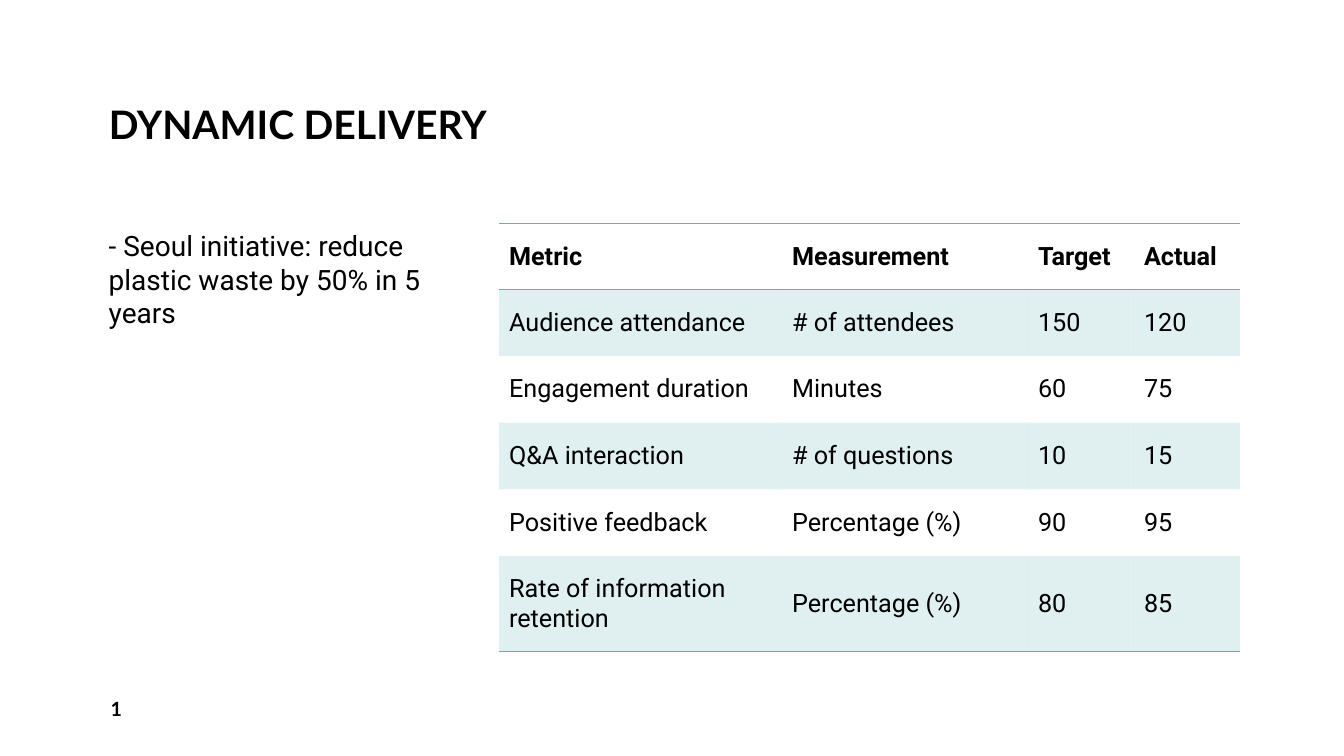
from lxml import etree
from pptx import Presentation
from pptx import util as u
from pptx.dml.color import RGBColor
from pptx.enum import text
from pptx.oxml.ns import qn

COLORS = {"ink": "000000", "teal": "66B2B0"}
HEADING, BODY = "Lato", "Roboto"
SLIDE_W, SLIDE_H = u.Inches(13.333), u.Inches(7.5)
NO_STYLE = "{2D5ABB26-0587-4C30-8999-92F81FD0307C}"
BAND_OPACITY = 20

# Boxes: left, top, width, height in percent of the slide
TITLE_BOX = (7.35, 2, 50.63, 18.27)
NOTE_BOX = (7.35, 29.6, 24.75, 56.93)
TABLE_BOX = (37.13, 29.6, 55.13, 56.6)
NUMBER_BOX = (7.5, 91.07, 9.75, 5.33)

# Column and row shares of the table, in percent
COLUMNS = (38.2, 33.2, 14.3, 14.3)
ROWS = (15.3, 15.6, 15.6, 15.6, 15.6, 22.3)
METRICS = (
    ("Metric", "Measurement", "Target", "Actual"),
    ("Audience attendance", "# of attendees", "150", "120"),
    ("Engagement duration", "Minutes", "60", "75"),
    ("Q&A interaction", "# of questions", "10", "15"),
    ("Positive feedback", "Percentage (%)", "90", "95"),
    ("Rate of information retention", "Percentage (%)", "80", "85"),
)


def place(box):
    sides = (SLIDE_W, SLIDE_H, SLIDE_W, SLIDE_H)
    return [int(side * share / 100) for side, share in zip(sides, box)]


def write(frame, words, size, font, bold=False, anchor=text.MSO_ANCHOR.MIDDLE):
    frame.word_wrap = True
    frame.vertical_anchor = anchor
    paragraph = frame.paragraphs[0]
    paragraph.alignment = text.PP_ALIGN.LEFT
    run = paragraph.add_run()
    run.text = words
    run.font.size, run.font.name, run.font.bold = u.Pt(size), font, bold
    run.font.color.rgb = RGBColor.from_string(COLORS["ink"])
    return paragraph


def add_title(slide, box):
    title = slide.shapes.title
    title.left, title.top, title.width, title.height = place(box)
    title.text_frame.auto_size = text.MSO_AUTO_SIZE.NONE
    heading = write(title.text_frame, "DYNAMIC DELIVERY", 28, HEADING, True,
                    text.MSO_ANCHOR.BOTTOM)
    heading.line_spacing = 0.9


def add_note(slide, box):
    note = slide.shapes.add_textbox(*place(box))
    initiative = write(note.text_frame,
                       "- Seoul initiative: reduce plastic waste by 50% in 5 years",
                       20, BODY, anchor=text.MSO_ANCHOR.TOP)
    initiative.space_after = u.Pt(12)


def add_number(slide, box):
    number = slide.shapes.add_textbox(*place(box))
    write(number.text_frame, "1", 14, HEADING, True)


def fill_band(cell):
    cell.fill.solid()
    cell.fill.fore_color.rgb = RGBColor.from_string(COLORS["teal"])
    color = cell._tc.tcPr.find(".//" + qn("a:srgbClr"))
    etree.SubElement(color, qn("a:alpha"), val=str(BAND_OPACITY * 1000))


def rule_cell(cell, edges):
    # Borders come before the fill in the cell properties
    for index, edge in enumerate(edges):
        line = etree.Element(qn("a:" + edge), w=str(u.Pt(1)))
        solid = etree.SubElement(line, qn("a:solidFill"))
        etree.SubElement(solid, qn("a:srgbClr"), val=COLORS["teal"])
        cell._tc.get_or_add_tcPr().insert(index, line)


def add_metrics(slide, box):
    left, top, width, height = place(box)
    frame = slide.shapes.add_table(len(ROWS), len(COLUMNS), left, top, width, height)
    metrics = frame.table
    metrics.horz_banding = False
    metrics._tbl.tblPr.find(qn("a:tableStyleId")).text = NO_STYLE
    for column, share in zip(metrics.columns, COLUMNS):
        column.width = int(width * share / 100)
    for row, share in zip(metrics.rows, ROWS):
        row.height = int(height * share / 100)

    edges = {0: ("lnT", "lnB"), len(ROWS) - 1: ("lnB",)}
    for r, values in enumerate(METRICS):
        for c, value in enumerate(values):
            cell = metrics.cell(r, c)
            write(cell.text_frame, value, 18, BODY, bold=r == 0)
            cell.vertical_anchor = text.MSO_ANCHOR.MIDDLE
            if r % 2:
                fill_band(cell)
            else:
                cell.fill.background()
            rule_cell(cell, edges.get(r, ()))


def main():
    deck = Presentation()
    deck.slide_width, deck.slide_height = SLIDE_W, SLIDE_H
    slide = deck.slides.add_slide(deck.slide_layouts[5])
    add_title(slide, TITLE_BOX)
    add_note(slide, NOTE_BOX)
    add_metrics(slide, TABLE_BOX)
    add_number(slide, NUMBER_BOX)
    deck.save("out.pptx")


if __name__ == "__main__":
    main()
